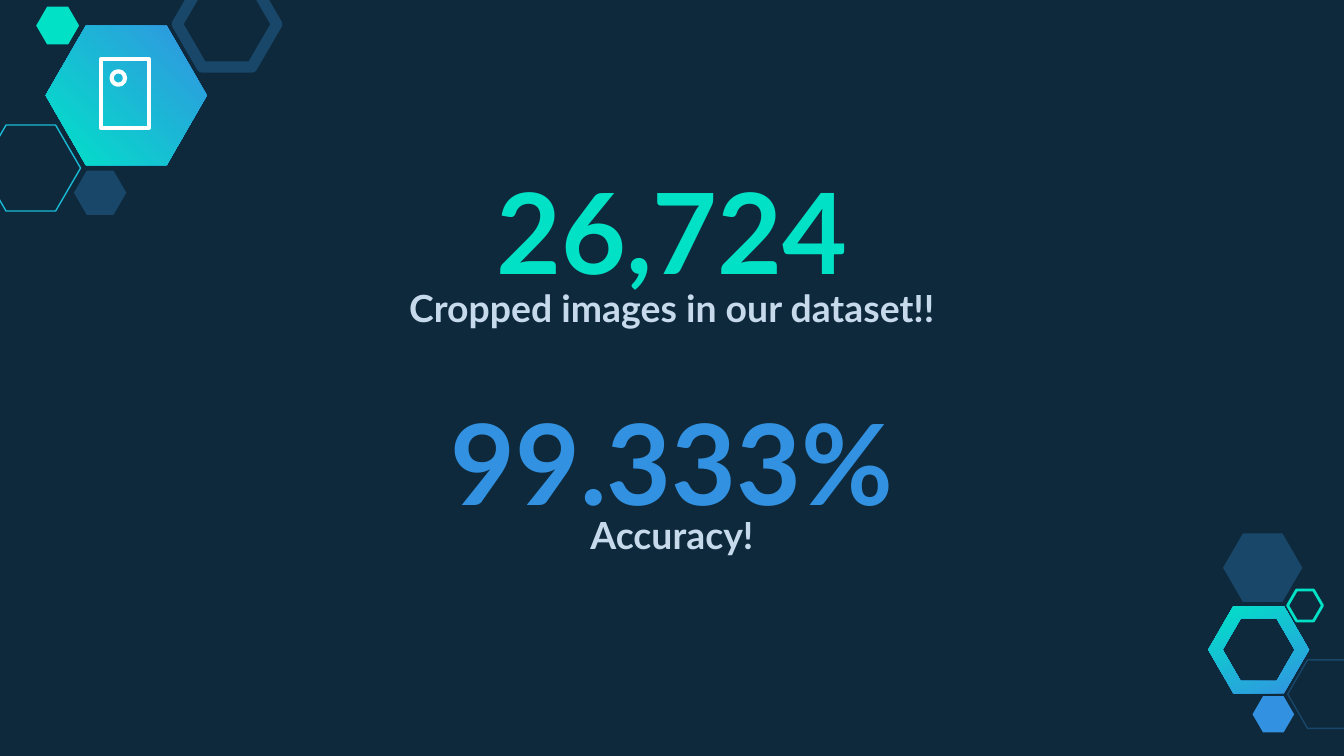
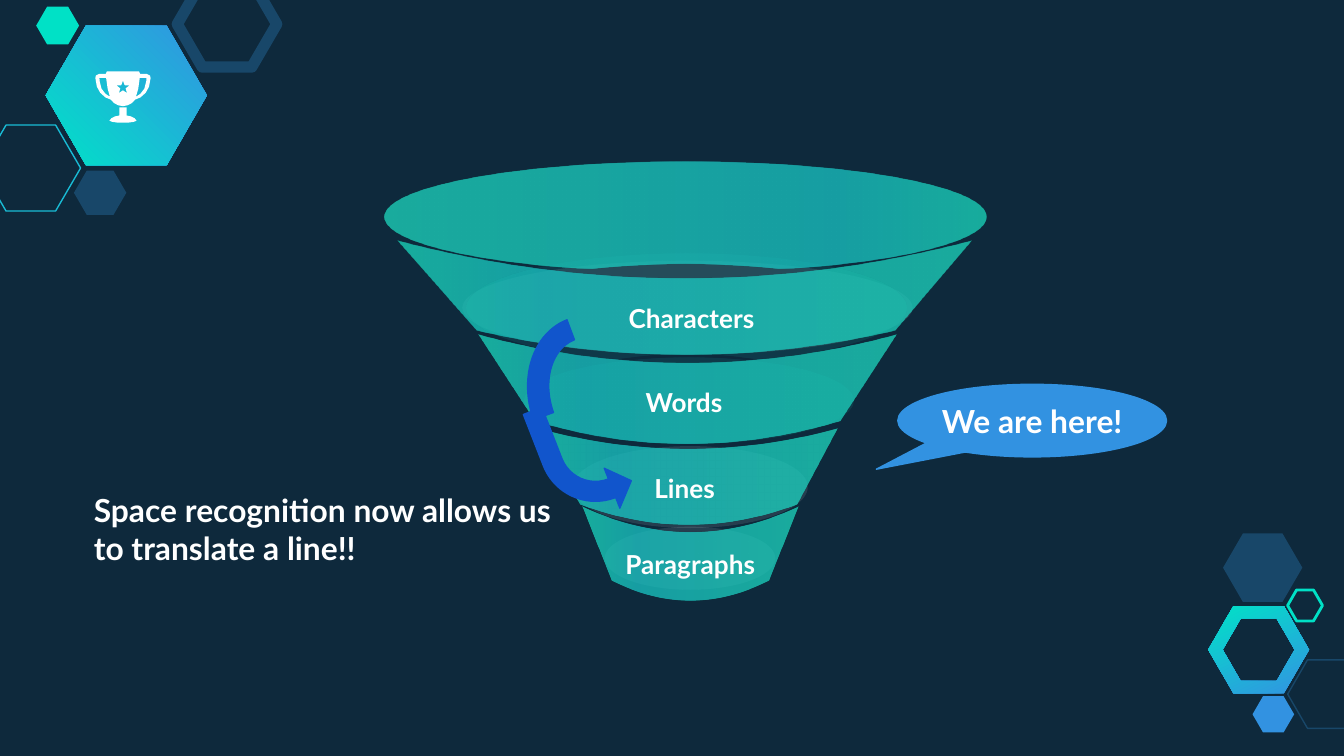
from dataclasses import dataclass
from math import cos, pi, radians, sin, sqrt

from lxml import etree
from pptx import Presentation
from pptx.dml.color import RGBColor
from pptx.enum.shapes import MSO_SHAPE
from pptx.enum.text import MSO_ANCHOR, MSO_AUTO_SIZE, PP_ALIGN
from pptx.oxml import parse_xml
from pptx.oxml.ns import nsdecls, qn
from pptx.util import Pt

HEXAGON, RECTANGLE, OVAL = MSO_SHAPE.HEXAGON, MSO_SHAPE.RECTANGLE, MSO_SHAPE.OVAL
CALLOUT = MSO_SHAPE.OVAL_CALLOUT
BENT_ARROW, BLOCK_ARC = MSO_SHAPE.BENT_ARROW, MSO_SHAPE.BLOCK_ARC
TOP, MIDDLE, BOTTOM = MSO_ANCHOR.TOP, MSO_ANCHOR.MIDDLE, MSO_ANCHOR.BOTTOM
LEFT, CENTER = PP_ALIGN.LEFT, PP_ALIGN.CENTER
TITLE_ONLY, BLANK = 5, 6


@dataclass(frozen=True)
class Theme:
    font: str = "Lato"
    background: str = "0E293C"
    navy: str = "184769"
    mint: str = "00E1C6"
    blue: str = "3292E1"
    cyan: str = "19BBD5"
    pale: str = "C6DAEC"
    white: str = "FFFFFF"
    arrow: str = "1155CC"
    hexagon_stops: tuple = ((0, "3393E2"), (100, "00E2C7"))
    band_stops: tuple = ((0, "1ED7BE"), (75, "1BC5C5"), (100, "1CD9BD"))
    glass_stops: tuple = ((0, "1ED7BE"), (80, "1BC5C5"), (100, "1CD9BD"))
    number_size: int = 60
    caption_size: int = 20
    note_size: int = 17
    label_size: int = 14


theme = Theme()


def paint(shape, fill=None, line=None, width=0.75, alpha=100, angle=0):
    """Fill with a colour or gradient stops, at alpha percent, and set the outline."""
    shape.shadow.inherit = False
    shape.fill.background()
    if isinstance(fill, str):
        shape.fill.solid()
        shape.fill.fore_color.rgb = RGBColor.from_string(fill)
        if alpha < 100:
            colour = shape.element.spPr.find(qn("a:solidFill"))[0]
            etree.SubElement(colour, qn("a:alpha")).set("val", str(alpha * 1000))
    elif fill:
        stops = "".join(
            f'<a:gs pos="{position * 1000}"><a:srgbClr val="{colour}">'
            f'<a:alpha val="{alpha * 1000}"/></a:srgbClr></a:gs>'
            for position, colour in fill)
        gradient = parse_xml(
            f'<a:gradFill {nsdecls("a")} rotWithShape="1"><a:gsLst>{stops}</a:gsLst>'
            f'<a:lin ang="{angle * 60000}" scaled="0"/></a:gradFill>')
        properties = shape.element.spPr
        properties.replace(properties.find(qn("a:noFill")), gradient)
    if line:
        shape.line.color.rgb = RGBColor.from_string(line)
        shape.line.width = Pt(width)
    else:
        shape.line.fill.background()


def add_outline(slide, *contours):
    """Add one freeform made of closed contours given in points."""
    builder = None
    for contour in contours:
        start, *rest = [(Pt(x), Pt(y)) for x, y in contour]
        if builder is None:
            builder = slide.shapes.build_freeform(*start, scale=1.0)
        else:
            builder.move_to(*start)
        builder.add_line_segments(rest, close=True)
    return builder.convert_to_shape()


presentation = Presentation()
presentation.slide_width, presentation.slide_height = Pt(720), Pt(405)
master = presentation.slide_master
master.background.fill.solid()
master.background.fill.fore_color.rgb = RGBColor.from_string(theme.background)

numbers = presentation.slides.add_slide(presentation.slide_layouts[TITLE_ONLY])
funnel = presentation.slides.add_slide(presentation.slide_layouts[BLANK])

# Shared hexagon clusters, moved to the master once drawn
ring, badge = [], []
for contours, center_x, center_y, radii in (
        (ring, 674.3, 348.1, (27, 19.3)), (badge, 67.7, 51.1, (43.2,))):
    for radius in radii:
        contours.append([(center_x + radius * cos(step * pi / 3),
                          center_y + radius * sin(step * pi / 3)) for step in range(6)])
paint(add_outline(funnel, *ring), theme.hexagon_stops, angle=244)
paint(add_outline(funnel, *badge), theme.hexagon_stops, angle=135)

hexagons = [
    ((-10.1, 67, 53.3, 46.1), dict(line=theme.cyan)),
    ((39.6, 91.4, 28.1, 23.8), dict(fill=theme.navy)),
    ((95, -10.1, 53.3, 46.1), dict(line=theme.navy, width=6)),
    ((19.4, 3.6, 23, 20.2), dict(fill=theme.mint)),
    ((689.8, 353.5, 42.5, 36.7), dict(line=theme.navy)),
    ((671, 373, 22.3, 19.4), dict(fill=theme.blue)),
    ((655.2, 285.8, 42.5, 36.7), dict(fill=theme.navy)),
    ((689.8, 316.1, 18.7, 16.6), dict(line=theme.mint, width=1.5)),
]
for box, look in hexagons:
    hexagon = funnel.shapes.add_shape(HEXAGON, *map(Pt, box))
    hexagon.adjustments[0] = 0.29
    paint(hexagon, **look)

for number, shape in enumerate(list(funnel.shapes), start=20):
    shape.element.nvSpPr.cNvPr.set("id", str(number))
    master.shapes.element.append(shape.element)

# Slide 1: image icon
for kind, box in ((RECTANGLE, (54, 31.7, 25.9, 36.7)), (OVAL, (59.8, 38.2, 7.2, 7.2))):
    paint(numbers.shapes.add_shape(kind, *map(Pt, box)), line=theme.white, width=2.25)

# Slide 2: funnel, from the inner shading outwards
glows = [
    ((280.8, 191.5, 176.4, 46.1), dict(fill=theme.glass_stops, angle=180)),
    ((247.7, 139.7, 241.2, 50.4), dict(fill=theme.white)),
    ((324, 282.2, 91.4, 33.8), dict(fill=theme.white)),
    ((306.7, 239, 126, 43.9), dict(fill=theme.white)),
]
for box, look in glows:
    paint(funnel.shapes.add_shape(OVAL, *map(Pt, box)), alpha=10, **look)

# Each band has a top and a bottom edge: left, right, height of the ends, sag
bands = [
    ((311.8, 427.7, 271.4, 13.7), (327.6, 411.8, 311, 10.8)),
    ((288.7, 448.6, 229.7, 10.8), (311, 427, 270, 10.8)),
    ((213.1, 520.6, 128.9, 20.2), (255.6, 479.5, 177.1, 13)),
    ((256.3, 480.2, 179.3, 15.1), (286.6, 450, 225.4, 12.2)),
]
for band in bands:
    edges = []
    for left, right, height, sag in band:
        edges.append([(left + (right - left) * step / 40,
                       height + sag * (1 - (step / 20 - 1) ** 2)) for step in range(41)])
    paint(add_outline(funnel, edges[0] + edges[1][::-1]),
          theme.band_stops, alpha=75, angle=180)

# Discs whose underside is notched by a shallow arch
NOTCH, RISE = 0.32, 2.9
discs = [
    (367.9, 164.9, 118, 28.8, dict(fill=theme.glass_stops, alpha=10, angle=180)),
    (367.2, 115.9, 161.3, 29.5, dict(fill=theme.band_stops, alpha=75)),
]
for center_x, center_y, radius_x, radius_y, look in discs:
    points = []
    for degrees in range(0, 360, 3):
        across, down = cos(radians(degrees)), sin(radians(degrees))
        y = center_y + radius_y * down
        if down > 0 and abs(across) < NOTCH:
            y = center_y + radius_y * sqrt(1 - NOTCH ** 2) - RISE * (1 - (across / NOTCH) ** 2)
        points.append((center_x + radius_x * across, y))
    paint(add_outline(funnel, points), **look)

# Trophy icon: right halves, mirrored about its axis
AXIS = 65.9
base = [(0, 57.6), (1.9, 57.6), (1.9, 61.9), (4.3, 62.4), (6.2, 63.4), (7.3, 64.7),
        (5.8, 65.3), (3, 65.7), (0, 65.7)]
cup = [(0, 38.2), (8.6, 38.2), (9.2, 39.6), (12.7, 39.6), (14.5, 40.5), (14.8, 41.8),
       (14, 46.4), (12.2, 49.7), (9.4, 52.2), (6.5, 53.4), (4.8, 55.2), (2.6, 56.4), (0, 56.9)]
handle = [(9, 41.8), (12.6, 41.8), (12.5, 43.5), (11.5, 47.5), (9.3, 50.3), (7, 51.8),
          (8.2, 47.5)]
base, cup = [[(AXIS + x, y) for x, y in half] + [(AXIS - x, y) for x, y in half[::-1]]
             for half in (base, cup)]
handles = [[(AXIS + side * x, y) for x, y in handle] for side in (1, -1)]
star = [(AXIS + radius * sin(step * pi / 5), 46.9 - radius * cos(step * pi / 5))
        for step, radius in enumerate((3.7, 1.5) * 5)]
paint(add_outline(funnel, base), theme.white)
paint(add_outline(funnel, cup, star, *handles), theme.white)

# Callout and the arrow from characters to lines
markers = [
    (CALLOUT, (481, 205.9, 144, 38.9), 0, False, (-0.58, 0.67), theme.blue),
    (BENT_ARROW, (290.9, 212.4, 41, 65.5), 158.7, True, (0.26, 0.28, 0.27, 0.73), theme.arrow),
    (BLOCK_ARC, (283.7, 168.5, 71.3, 88.6), 340.6, False, (107.74, 161.27, 0.16), theme.arrow),
]
for kind, box, rotation, mirrored, adjustments, colour in markers:
    marker = funnel.shapes.add_shape(kind, *map(Pt, box))
    marker.rotation = rotation
    for index, value in enumerate(adjustments):
        marker.adjustments[index] = value
    if mirrored:
        marker.element.spPr.xfrm.set("flipH", "1")
    paint(marker, colour, line=colour)

# All text
number = dict(size=theme.number_size, anchor=BOTTOM)
caption = dict(size=theme.caption_size, colour=theme.pale)
note = dict(size=theme.note_size)
label = dict(size=theme.label_size, anchor=MIDDLE, inset=3.6)
texts = [
    (numbers, "26,724", (54, 95.8, 612, 70.6), dict(number, colour=theme.mint, title=True)),
    (numbers, "Cropped images in our dataset!!", (54, 145.4, 612, 36.7), caption),
    (numbers, "99.333%", (54, 219.6, 612, 70.6), dict(number, colour=theme.blue)),
    (numbers, "Accuracy!", (54, 267.1, 612, 36.7), caption),
    (funnel, "Characters", (319.7, 158.4, 101.5, 24.5), label),
    (funnel, "Words", (331.9, 205.9, 69.1, 18.7), label),
    (funnel, "Lines", (329, 252, 75.6, 18.7), label),
    (funnel, "Paragraphs", (319, 293, 101.5, 18.7), label),
    (funnel, "We are here!", (481, 208.1, 144, 18.7), note),
    (funnel, "Space recognition now allows us to translate a line!!",
     (43.2, 255.6, 263.5, 110.9), dict(note, align=LEFT)),
]
defaults = dict(colour=theme.white, anchor=TOP, align=CENTER, inset=7.2, title=False)
for slide, words, box, look in texts:
    look = defaults | look
    box = [Pt(length) for length in box]
    if look["title"]:
        shape = slide.shapes.title
        shape.left, shape.top, shape.width, shape.height = box
    else:
        shape = slide.shapes.add_textbox(*box)
    frame = shape.text_frame
    inset = Pt(look["inset"])
    frame_format = dict(word_wrap=True, auto_size=MSO_AUTO_SIZE.NONE,
                        vertical_anchor=look["anchor"], margin_left=Pt(7.2),
                        margin_right=Pt(7.2), margin_top=inset, margin_bottom=inset)
    for name, value in frame_format.items():
        setattr(frame, name, value)
    paragraph = frame.paragraphs[0]
    paragraph.alignment = look["align"]
    run = paragraph.add_run()
    run.text = words
    for name, value in dict(name=theme.font, size=Pt(look["size"]), bold=True).items():
        setattr(run.font, name, value)
    run.font.color.rgb = RGBColor.from_string(look["colour"])

presentation.save("out.pptx")
